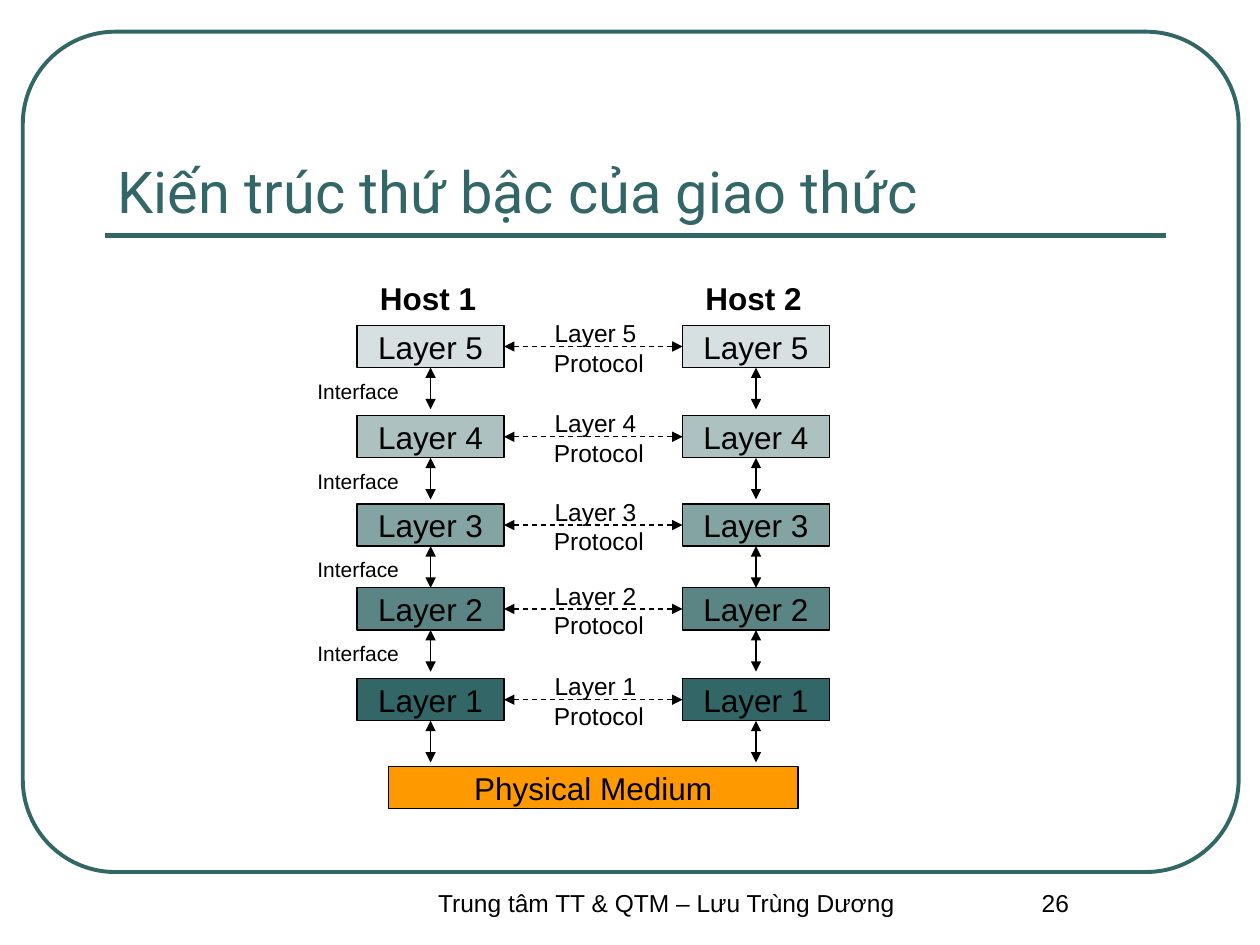
from dataclasses import dataclass

from lxml import etree
from pptx import Presentation
from pptx import util as u
from pptx.dml.color import RGBColor
from pptx.enum import dml, shapes, text
from pptx.oxml.ns import qn


@dataclass(frozen=True)
class Theme:
    main: RGBColor = RGBColor(0x33, 0x66, 0x66)
    accent: RGBColor = RGBColor(0xFF, 0x99, 0x00)
    ink: RGBColor = RGBColor(0, 0, 0)
    title: float = 33
    body: float = 18
    label: float = 14
    small: float = 12
    font: str = "Arial"
    title_font: str = "Roboto"


T = Theme()
CENTER = text.PP_ALIGN.CENTER
LEFT = text.PP_ALIGN.LEFT


def write(sp, words, size, align=CENTER, wrap=False,
          anchor=text.MSO_ANCHOR.TOP, color=T.ink, **fmt):
    """Fill a shape with one formatted paragraph."""
    tf = sp.text_frame
    tf.text = words
    frame = {"word_wrap": wrap, "vertical_anchor": anchor,
             "auto_size": text.MSO_AUTO_SIZE.NONE}
    for name, value in frame.items():
        setattr(tf, name, value)
    p = tf.paragraphs[0]
    p.alignment = align
    for r in p.runs:
        for name, value in {"name": T.font, "size": u.Pt(size), **fmt}.items():
            setattr(r.font, name, value)
        r.font.color.rgb = color


def add_label(s, x, y, w, h, words, size, **fmt):
    sp = s.shapes.add_textbox(u.Cm(x), u.Cm(y), u.Cm(w), u.Cm(h))
    write(sp, words, size, **fmt)


def add_box(s, x, y, w, h, words, fill, opacity=100):
    sp = s.shapes.add_shape(shapes.MSO_SHAPE.RECTANGLE,
                            u.Cm(x), u.Cm(y), u.Cm(w), u.Cm(h))
    sp.shadow.inherit = False
    sp.fill.solid()
    sp.fill.fore_color.rgb = fill
    if opacity < 100:
        color = sp.fill._xPr.find(qn("a:solidFill"))[0]
        etree.SubElement(color, qn("a:alpha"), val=str(opacity * 1000))
    sp.line.color.rgb = T.ink
    sp.line.width = u.Pt(0.75)
    write(sp, words, T.body, anchor=text.MSO_ANCHOR.MIDDLE)


def add_line(s, x1, y1, x2, y2, color=T.ink, width=0.75, dash=None, arrows=True):
    c = s.shapes.add_connector(shapes.MSO_CONNECTOR.STRAIGHT,
                               u.Cm(x1), u.Cm(y1), u.Cm(x2), u.Cm(y2))
    c.line.color.rgb = color
    c.line.width = u.Pt(width)
    if dash:
        c.line.dash_style = dash
    if arrows:
        ln = c.line._get_or_add_ln()
        for end in ("a:headEnd", "a:tailEnd"):
            etree.SubElement(ln, qn(end), type="triangle")
    etree.SubElement(c._element.spPr, qn("a:effectLst"))


def draw_frame(s, x, y, w, h):
    """Rounded outline around the content, with the rule below the title."""
    sp = s.shapes.add_shape(shapes.MSO_SHAPE.ROUNDED_RECTANGLE,
                            u.Cm(x), u.Cm(y), u.Cm(w), u.Cm(h))
    sp.adjustments[0] = 0.11
    sp.shadow.inherit = False
    sp.fill.background()
    sp.line.color.rgb = T.main
    sp.line.width = u.Pt(2.25)
    add_line(s, x + 1.66, y + 4.11, x + 23.04, y + 4.11,
             color=T.main, width=3, arrows=False)


def draw_title(s, x, y, w, h):
    sp = s.shapes.title
    for name, value in zip(("left", "top", "width", "height"), (x, y, w, h)):
        setattr(sp, name, u.Cm(value))
    write(sp, "Kiến trúc thứ bậc của giao thức", T.title, align=LEFT, wrap=True,
          anchor=text.MSO_ANCHOR.BOTTOM, color=T.main, name=T.title_font)


def draw_layers(s, x, y):
    """Two protocol stacks side by side over the shared medium."""
    box_w, box_h, arrow = 2.96, 0.85, 0.84
    hosts = {"Host 1": x + 1.05, "Host 2": x + 7.61}
    left, right = hosts.values()
    tops = {5: 1.05, 4: 2.87, 3: 4.65, 2: 6.34, 1: 8.17}

    for host, col in hosts.items():
        add_label(s, col + 0.21, y, 2.46, 1.02, host, T.body, align=LEFT, bold=True)

    for n, offset in tops.items():
        top = y + offset
        bottom, middle = top + box_h, top + box_h / 2
        # Layer boxes grow denser towards the medium
        for col in hosts.values():
            add_box(s, col, top, box_w, box_h, f"Layer {n}", T.main, 120 - 20 * n)
            add_line(s, col + box_w / 2, bottom + arrow, col + box_w / 2, bottom)
        # Protocol between peer layers
        add_line(s, left + box_w, middle, right, middle, dash=dml.MSO_LINE.DASH)
        add_label(s, x + 4.77, top - 0.27, 2.31, 1.45,
                  f"Layer {n} \vProtocol", T.label)
        # Interface to the layer below
        if n > 1:
            add_label(s, x, top + 0.94, 2.16, 0.76, "Interface", T.small, align=LEFT)

    add_box(s, x + 1.68, y + 9.94, 8.26, box_h, "Physical Medium", T.accent)


def draw_footer(s, x, y, h):
    add_label(s, x, y, 11.23, h, "Trung tâm TT & QTM – Lưu Trùng Dương",
              T.label, wrap=True)
    add_label(s, x + 11.23, y, 4.45, h, "26", T.label, wrap=True)


def main():
    prs = Presentation()
    prs.slide_width, prs.slide_height = u.Cm(25.4), u.Cm(19.05)
    s = prs.slides.add_slide(prs.slide_layouts[5])
    draw_frame(s, 0.46, 0.64, 24.51, 16.94)
    draw_title(s, 2.12, 1.48, 21.38, 3.18)
    draw_layers(s, 6.15, 5.51)
    draw_footer(s, 7.82, 17.78, 1.27)
    prs.save("out.pptx")


if __name__ == "__main__":
    main()
